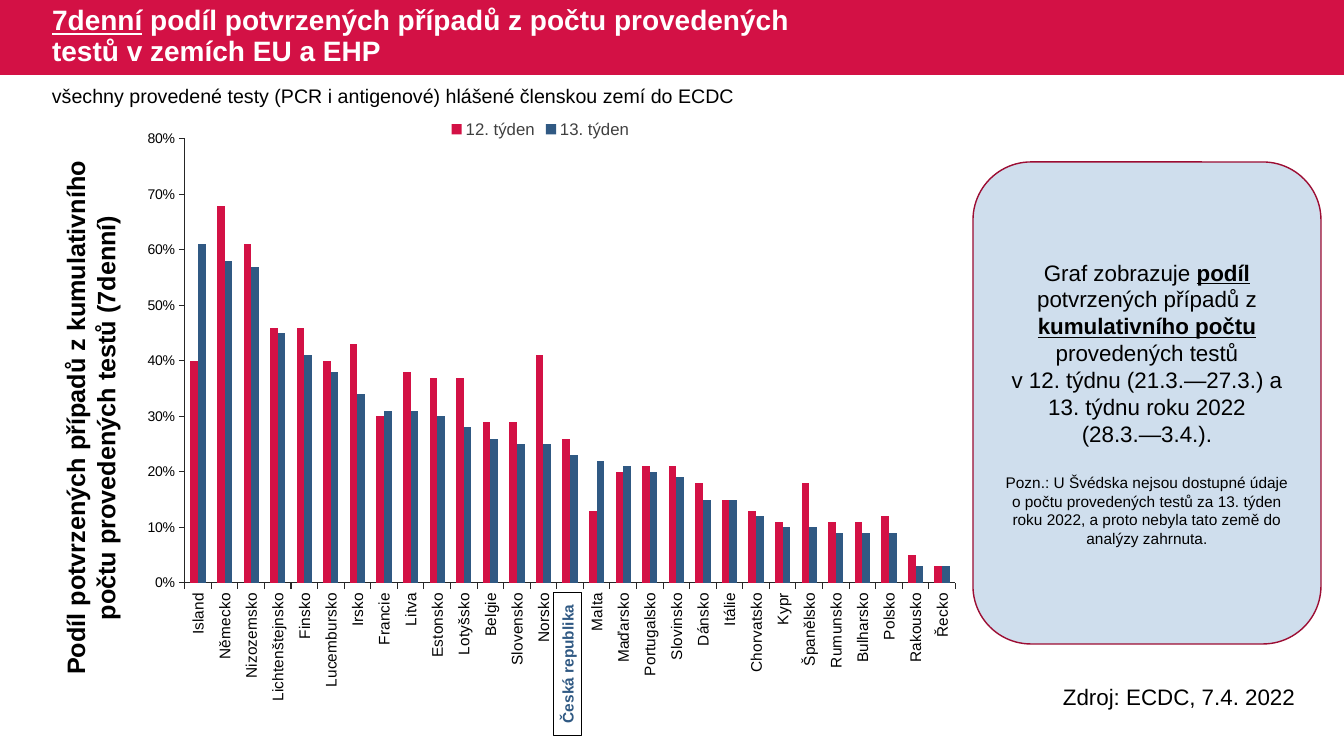
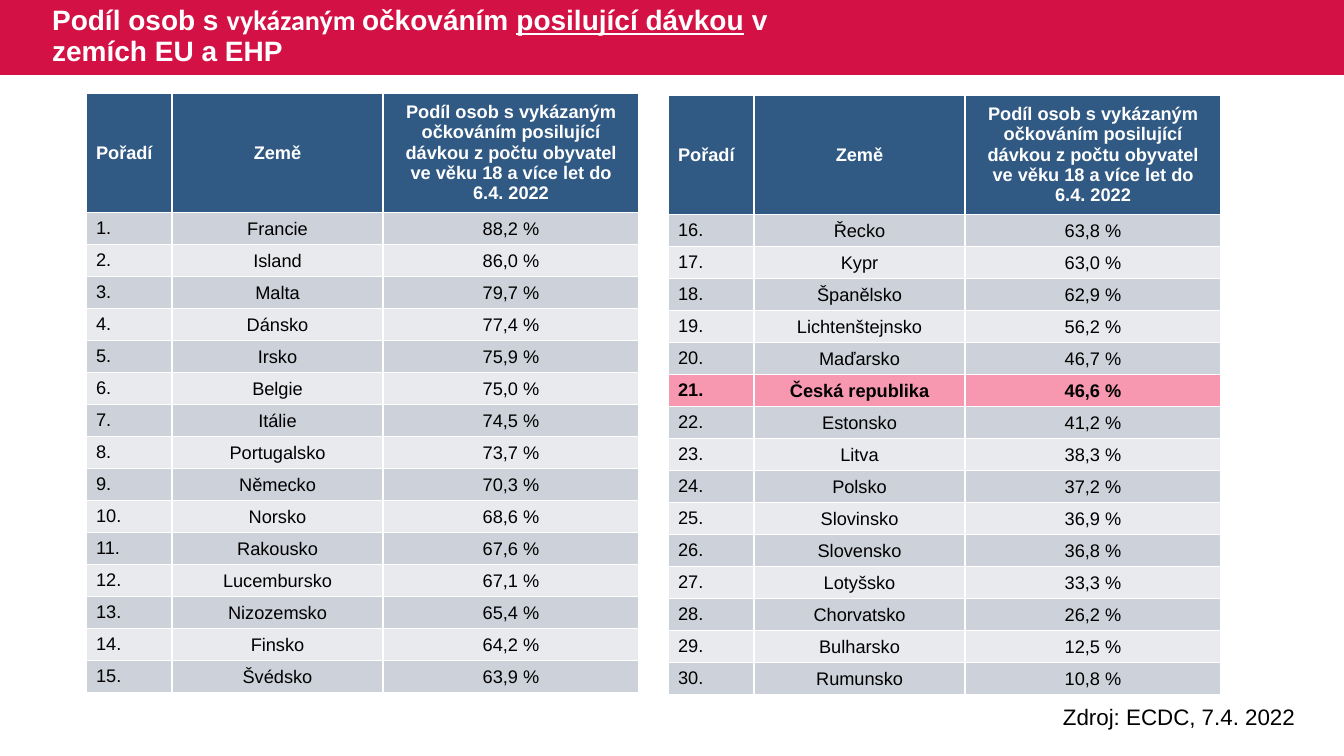
from dataclasses import dataclass

from lxml import etree
from pptx import Presentation
from pptx.chart.data import CategoryChartData
from pptx.dml.color import RGBColor
from pptx.enum.chart import XL_CHART_TYPE, XL_LEGEND_POSITION, XL_TICK_MARK
from pptx.enum.shapes import MSO_SHAPE
from pptx.enum.text import MSO_ANCHOR, MSO_AUTO_SIZE, PP_ALIGN
from pptx.oxml.ns import qn
from pptx.util import Emu, Pt

COLUMNS = XL_CHART_TYPE.COLUMN_CLUSTERED
LEGEND_TOP = XL_LEGEND_POSITION.TOP
TICK_OUT, TICK_NONE = XL_TICK_MARK.OUTSIDE, XL_TICK_MARK.NONE
RECT, ROUNDED = MSO_SHAPE.RECTANGLE, MSO_SHAPE.ROUNDED_RECTANGLE
MIDDLE, TOP = MSO_ANCHOR.MIDDLE, MSO_ANCHOR.TOP
LEFT, CENTER = PP_ALIGN.LEFT, PP_ALIGN.CENTER
NO_AUTOFIT = MSO_AUTO_SIZE.NONE

SLIDE_W, SLIDE_H = 1344, 756
EMU_PER_PX = 12192000 / SLIDE_W
TITLE_ONLY = 5


@dataclass(frozen=True)
class Theme:
    font: str = "Arial"
    alt_font: str = "Calibri"
    red: str = "D31145"
    blue: str = "305983"
    pale_blue: str = "CFDEED"
    dark_red: str = "9C0D33"
    pink: str = "F797B0"
    bands: tuple = ("CDD1D9", "E8EAED")
    white: str = "FFFFFF"
    black: str = "000000"
    axis: str = "262626"
    grey: str = "404040"
    title: int = 20
    axis_title: int = 18
    body: int = 16
    subtitle: int = 14
    table: int = 13
    legend: int = 12
    small: int = 11
    tick: int = 10


THEME = Theme()

SOURCE = "Zdroj: ECDC, 7.4. 2022"
HIGHLIGHT = "Česká republika"

SHARE_TITLE = [("7denní", "u"), (" podíl potvrzených případů z počtu provedených testů v zemích EU a EHP", "")]
SHARE_SUBTITLE = "všechny provedené testy (PCR i antigenové) hlášené členskou zemí do ECDC"
SHARE_AXIS = "Podíl potvrzených případů z kumulativního počtu provedených testů (7denní)"
WEEKS = ("12. týden", "13. týden")
SHARES = [
    ("Island", 0.4, 0.61), ("Německo", 0.68, 0.58), ("Nizozemsko", 0.61, 0.57),
    ("Lichtenštejnsko", 0.46, 0.45), ("Finsko", 0.46, 0.41), ("Lucembursko", 0.4, 0.38),
    ("Irsko", 0.43, 0.34), ("Francie", 0.3, 0.31), ("Litva", 0.38, 0.31),
    ("Estonsko", 0.37, 0.3), ("Lotyšsko", 0.37, 0.28), ("Belgie", 0.29, 0.26),
    ("Slovensko", 0.29, 0.25), ("Norsko", 0.41, 0.25), (HIGHLIGHT, 0.26, 0.23),
    ("Malta", 0.13, 0.22), ("Maďarsko", 0.2, 0.21), ("Portugalsko", 0.21, 0.2),
    ("Slovinsko", 0.21, 0.19), ("Dánsko", 0.18, 0.15), ("Itálie", 0.15, 0.15),
    ("Chorvatsko", 0.13, 0.12), ("Kypr", 0.11, 0.1), ("Španělsko", 0.18, 0.1),
    ("Rumunsko", 0.11, 0.09), ("Bulharsko", 0.11, 0.09), ("Polsko", 0.12, 0.09),
    ("Rakousko", 0.05, 0.03), ("Řecko", 0.03, 0.03),
]
EXPLANATION = [
    [("Graf zobrazuje ", ""), ("podíl", "bu"), (" potvrzených případů z ", ""),
     ("kumulativního počtu", "bu"), (" provedených testů", "")],
    [("v 12. týdnu (21.3.—27.3.) a 13. týdnu roku 2022", "")],
    [("(28.3.—3.4.).", "")],
    [("Pozn.: U Švédska nejsou dostupné údaje o počtu provedených testů za 13. týden "
      "roku 2022, a proto nebyla tato země do analýzy zahrnuta.", "")],
]

BOOSTER_TITLE = [("Podíl osob s ", ""), ("vykázaným ", "a"), ("očkováním ", ""),
                 ("posilující dávkou", "u"), (" v zemích EU a EHP", "")]
BOOSTER_HEADER = ("Pořadí", "Země", "Podíl osob s vykázaným očkováním posilující dávkou "
                  "z počtu obyvatel ve věku 18 a více let do 6.4. 2022")
BOOSTERS = [
    ("Francie", "88,2 %"), ("Island", "86,0 %"), ("Malta", "79,7 %"), ("Dánsko", "77,4 %"),
    ("Irsko", "75,9 %"), ("Belgie", "75,0 %"), ("Itálie", "74,5 %"), ("Portugalsko", "73,7 %"),
    ("Německo", "70,3 %"), ("Norsko", "68,6 %"), ("Rakousko", "67,6 %"), ("Lucembursko", "67,1 %"),
    ("Nizozemsko", "65,4 %"), ("Finsko", "64,2 %"), ("Švédsko", "63,9 %"), ("Řecko", "63,8 %"),
    ("Kypr", "63,0 %"), ("Španělsko", "62,9 %"), ("Lichtenštejnsko", "56,2 %"),
    ("Maďarsko", "46,7 %"), (HIGHLIGHT, "46,6 %"), ("Estonsko", "41,2 %"), ("Litva", "38,3 %"),
    ("Polsko", "37,2 %"), ("Slovinsko", "36,9 %"), ("Slovensko", "36,8 %"), ("Lotyšsko", "33,3 %"),
    ("Chorvatsko", "26,2 %"), ("Bulharsko", "12,5 %"), ("Rumunsko", "10,8 %"),
]
RANKING_SPOTS = [(86, 93), (668, 95)]
RANKING_COLUMNS = (86, 211, 256)
HEADER_H, ROW_H = 111, 30


def px(value):
    return Emu(round(value * EMU_PER_PX))


def box(left, top, width, height):
    return px(left), px(top), px(width), px(height)


def rgb(code):
    return RGBColor.from_string(code)


def style_font(font, size, color, bold=False):
    font.name, font.size, font.bold = THEME.font, Pt(size), bold
    font.color.rgb = rgb(color)


def write(paragraph, runs, size, color=THEME.black, bold=False, align=LEFT):
    paragraph.alignment = align
    style_font(paragraph.font, size, color, bold)
    for text, marks in [(runs, "")] if isinstance(runs, str) else runs:
        run = paragraph.add_run()
        run.text = text
        if "b" in marks:
            run.font.bold = True
        if "u" in marks:
            run.font.underline = True
        if "a" in marks:
            run.font.name = THEME.alt_font


def add_label(slide, place, text, size, rotation=0, **style):
    label = slide.shapes.add_textbox(*box(*place))
    label.rotation = rotation
    label.text_frame.word_wrap = True
    write(label.text_frame.paragraphs[0], text, size, **style)


def add_panel(slide, preset, place, fill, line=None):
    panel = slide.shapes.add_shape(preset, *box(*place))
    panel.shadow.inherit = False
    panel.fill.solid()
    panel.fill.fore_color.rgb = rgb(fill)
    if line:
        panel.line.color.rgb = rgb(line)
        panel.line.width = Pt(1)
    else:
        panel.line.fill.background()
    panel.text_frame.word_wrap = True
    panel.text_frame.vertical_anchor = MIDDLE
    return panel


def add_titled_slide(deck, title, source_top):
    slide = deck.slides.add_slide(deck.slide_layouts[TITLE_ONLY])
    heading = slide.shapes.title
    heading.left, heading.top, heading.width, heading.height = box(42, 0, 823, 74)
    heading.text_frame.auto_size = NO_AUTOFIT
    heading.text_frame.vertical_anchor = MIDDLE
    paragraph = heading.text_frame.paragraphs[0]
    paragraph.line_spacing = 0.9
    write(paragraph, title, THEME.title, THEME.white, True)
    add_label(slide, (1053, source_top, 316, 37), SOURCE, THEME.body)
    return slide


def add_band_to_layout(slide):
    band = add_panel(slide, RECT, (0, 0, SLIDE_W, 75), THEME.red)
    slide.slide_layout.shapes.element.insert(2, band.element)


def place_plot(chart, left, top, width, height):
    plot_area = chart.element.find(".//" + qn("c:plotArea"))
    for automatic in plot_area.findall(qn("c:layout")):
        plot_area.remove(automatic)
    layout = etree.Element(qn("c:layout"))
    plot_area.insert(0, layout)
    manual = etree.SubElement(layout, qn("c:manualLayout"))
    settings = {"layoutTarget": "inner", "xMode": "edge", "yMode": "edge",
                "x": left, "y": top, "w": width, "h": height}
    for tag, value in settings.items():
        etree.SubElement(manual, qn("c:" + tag)).set("val", str(value))


def add_share_chart(slide):
    data = CategoryChartData(number_format="0%")
    countries, *weekly = zip(*SHARES)
    data.categories = countries
    for week, shares in zip(WEEKS, weekly):
        data.add_series(week, shares)
    chart = slide.shapes.add_chart(COLUMNS, *box(117, 109, 847, 600), data).chart
    style_font(chart.font, THEME.tick, THEME.grey)
    chart.has_title = False
    chart.has_legend = True
    chart.legend.position = LEGEND_TOP
    chart.legend.include_in_layout = False
    style_font(chart.legend.font, THEME.legend, THEME.grey)

    plot = chart.plots[0]
    plot.gap_width, plot.overlap, plot.vary_by_categories = 150, 0, False
    for series, color in zip(plot.series, (THEME.red, THEME.blue)):
        series.format.fill.solid()
        series.format.fill.fore_color.rgb = rgb(color)

    for axis, size in ((chart.category_axis, THEME.small), (chart.value_axis, THEME.tick)):
        axis.has_major_gridlines = False
        axis.major_tick_mark, axis.minor_tick_mark = TICK_OUT, TICK_NONE
        axis.format.line.color.rgb = rgb(THEME.axis)
        axis.format.line.width = Pt(0.75)
        style_font(axis.tick_labels.font, size, THEME.black)
    shares_axis = chart.value_axis
    shares_axis.minimum_scale, shares_axis.maximum_scale, shares_axis.major_unit = 0, 0.8, 0.1
    shares_axis.tick_labels.number_format = "0%"
    shares_axis.tick_labels.number_format_is_linked = False
    chart.element.xpath(".//c:catAx/c:txPr/a:bodyPr")[0].set("rot", "-5400000")
    place_plot(chart, 0.08, 0.05, 0.91, 0.74)


def add_explanation(slide):
    panel = add_panel(slide, ROUNDED, (973, 162, 348, 482), THEME.pale_blue, THEME.dark_red)
    frame = panel.text_frame
    for index, runs in enumerate(EXPLANATION):
        paragraph = frame.add_paragraph() if index else frame.paragraphs[0]
        is_note = index == len(EXPLANATION) - 1
        if is_note:
            paragraph.space_before = Pt(19)
        write(paragraph, runs, THEME.small if is_note else THEME.body, align=CENTER)


def add_ranking(slide, spot, first_rank, entries):
    size = sum(RANKING_COLUMNS), HEADER_H + ROW_H * len(entries)
    table = slide.shapes.add_table(len(entries) + 1, len(RANKING_COLUMNS), *box(*spot, *size)).table
    for column, width in zip(table.columns, RANKING_COLUMNS):
        column.width = px(width)
    ranked = [(f"{rank}.", *entry) for rank, entry in enumerate(entries, first_rank)]
    for r, values in enumerate([BOOSTER_HEADER, *ranked]):
        is_header, is_highlight = r == 0, HIGHLIGHT in values
        table.rows[r].height = px(HEADER_H if is_header else ROW_H)
        fill = THEME.blue if is_header else THEME.pink if is_highlight else THEME.bands[(r - 1) % 2]
        for c, value in enumerate(values):
            cell = table.cell(r, c)
            cell.fill.solid()
            cell.fill.fore_color.rgb = rgb(fill)
            cell.vertical_anchor = MIDDLE
            if c and not is_header:
                cell.margin_left = cell.margin_right = cell.margin_top = px(1)
                cell.margin_bottom = 0
            write(cell.text_frame.paragraphs[0], value, THEME.table,
                  THEME.white if is_header else THEME.black,
                  is_header or is_highlight, CENTER if c else LEFT)


def build_share_slide(deck):
    slide = add_titled_slide(deck, SHARE_TITLE, 678)
    add_band_to_layout(slide)
    add_label(slide, (-182, 382, 546, 72), SHARE_AXIS, THEME.axis_title, 270, bold=True, align=CENTER)
    add_share_chart(slide)
    add_explanation(slide)
    marker = add_panel(slide, RECT, (496, 650, 143, 28), THEME.white, THEME.black)
    marker.rotation = 270
    write(marker.text_frame.paragraphs[0], HIGHLIGHT, THEME.small, THEME.blue, True, CENTER)
    add_label(slide, (42, 79, 1269, 34), SHARE_SUBTITLE, THEME.subtitle)


def build_booster_slide(deck):
    slide = add_titled_slide(deck, BOOSTER_TITLE, 698)
    half = len(BOOSTERS) // len(RANKING_SPOTS)
    for index, spot in enumerate(RANKING_SPOTS):
        start = index * half
        add_ranking(slide, spot, start + 1, BOOSTERS[start:start + half])


def main():
    deck = Presentation()
    deck.slide_width, deck.slide_height = px(SLIDE_W), px(SLIDE_H)
    build_share_slide(deck)
    build_booster_slide(deck)
    deck.save("out.pptx")


if __name__ == "__main__":
    main()
